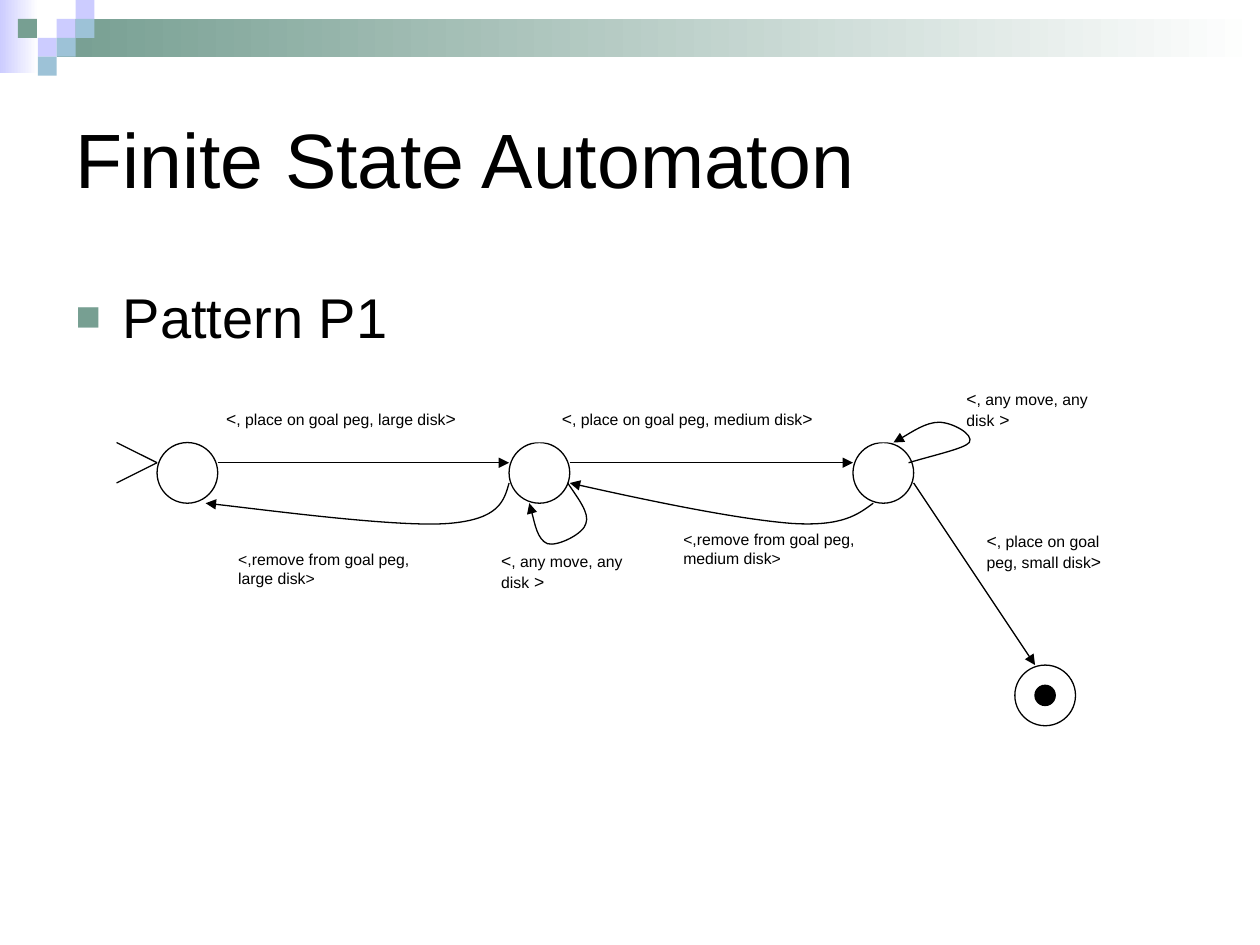
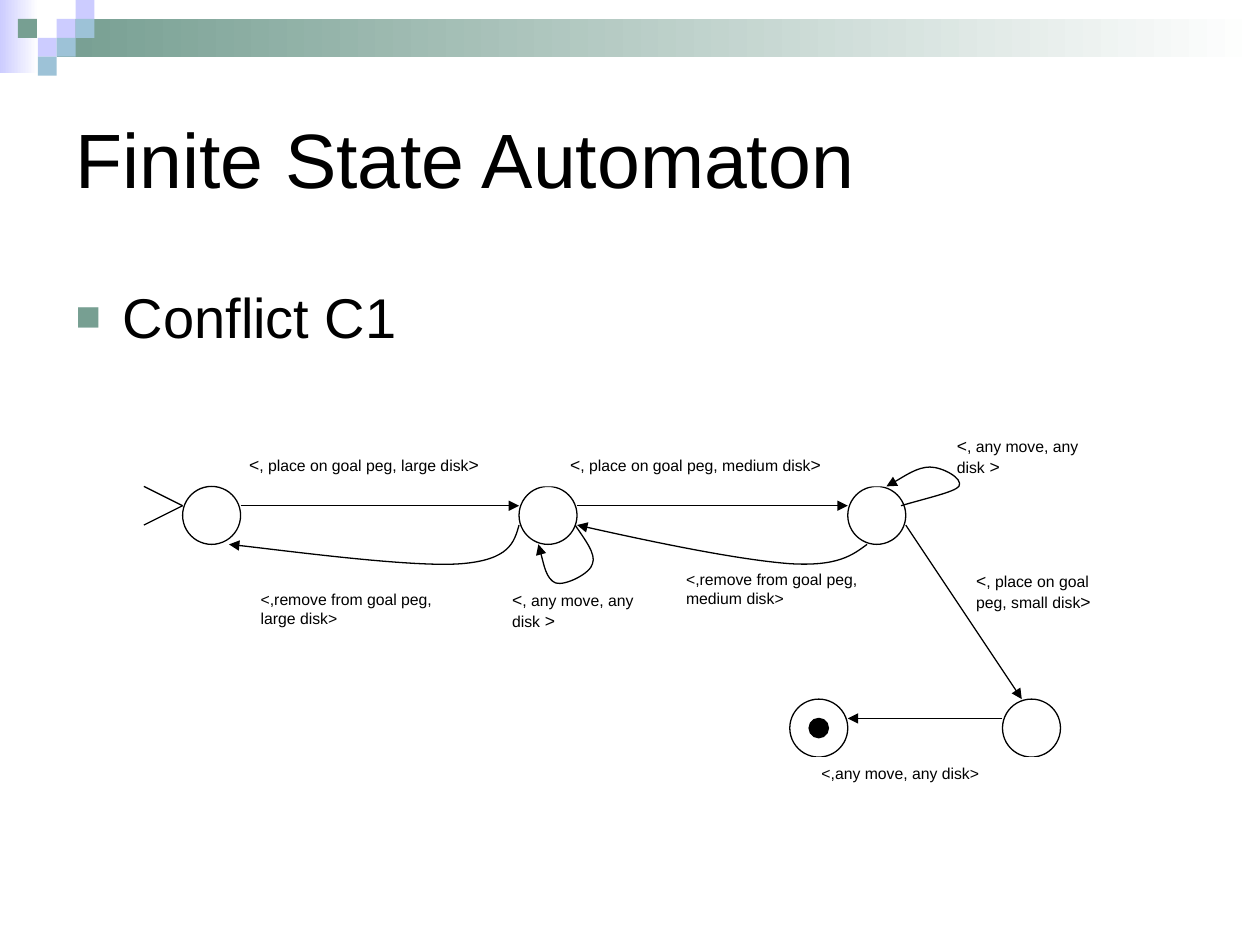
from dataclasses import dataclass

from lxml.etree import SubElement
from pptx import Presentation
from pptx.dml.color import RGBColor
from pptx.enum.shapes import MSO_CONNECTOR, MSO_SHAPE
from pptx.enum.text import MSO_ANCHOR, PP_ALIGN
from pptx.oxml.ns import qn
from pptx.util import Pt

BLACK = RGBColor(0x00, 0x00, 0x00)
WHITE = RGBColor(0xFF, 0xFF, 0xFF)
GREEN = RGBColor(0x77, 0x9F, 0x92)
LAVENDER = RGBColor(0xCC, 0xCC, 0xFF)
BLUE = RGBColor(0x9D, 0xC2, 0xD7)
FONT = "Arial"
LINE_WIDTH = Pt(0.75)

TILE = 10.8
TILES = [  # column, row, colour
    (3, 1, LAVENDER), (4, 0, LAVENDER), (4, 1, BLUE), (2, 2, LAVENDER),
    (0.95, 1, GREEN), (3, 2, BLUE), (2, 3, BLUE),
]

# Diagram positions are in grid units: a state is 3 units wide.
STATE_SIZE = 3
STATE_ROW, FINAL_ROW = 3, 14
START, MIDDLE, THIRD, LAST = 2.6, 20, 37, 45
CONFLICT_FINAL = 34

LABELS = [  # left, top, width, height, runs of (text, size)
    (5.4, 1, 17, 2, [("<", 10), (", place on goal peg, large disk", 9), (">", 10)]),
    (22, 1, 19, 2, [("<", 10), (", place on goal peg, medium disk", 9), (">", 10)]),
    (43, 7, 8, 5, [("<", 10), (", place on goal peg, small disk", 9), (">", 10)]),
    (6, 8, 11, 4, [("<,remove from goal peg, large disk>", 9)]),
    (28, 7, 11, 4, [("<,remove from goal peg, medium disk>", 9)]),
    (19, 8, 8, 4, [("<", 10), (", any move, any disk", 9), (" >", 10)]),
    (42, 0, 8, 4, [("<", 10), (", any move, any disk", 9), (" >", 10)]),
]

# Each curve is a start point followed by groups of three Bezier points.
REMOVE_LARGE = [(20, 5), (19.75, 5.9), (19.5, 6.8), (17, 7),
                (14.45, 7.2), (7, 6.2), (5, 6)]
REMOVE_MEDIUM = [(38, 6), (37.25, 6.55), (36.5, 7.15), (34, 7),
                 (31.45, 6.8), (27.2, 5.95), (23, 5)]
MIDDLE_LOOP = [(22.9, 5), (23.4, 5.75), (24, 6.5), (23.8, 7),
               (23.7, 7.5), (22.4, 8.15), (21.9, 8),
               (21.4, 7.8), (21.1, 6.3), (21, 6)]
THIRD_LOOP = [(39.75, 4), (41.1, 3.6), (42.5, 3.3), (42.75, 3),
              (43, 2.6), (41.9, 2), (41.25, 2),
              (40.6, 2), (39.4, 2.8), (39, 3)]
CURVES = [REMOVE_LARGE, THIRD_LOOP, MIDDLE_LOOP, REMOVE_MEDIUM]


@dataclass
class Grid:
    left: float
    top: float
    unit: float

    def point(self, column, row):
        return Pt(self.left + column * self.unit), Pt(self.top + row * self.unit)

    def box(self, column, row, width, height):
        return (*self.point(column, row), Pt(width * self.unit), Pt(height * self.unit))


def add_run(paragraph, text, size):
    run = paragraph.add_run()
    run.text = text
    run.font.name = FONT
    run.font.size = Pt(size)
    run.font.color.rgb = BLACK


def add_filled_shape(slide, kind, box, colour):
    shape = slide.shapes.add_shape(kind, *box)
    shape.shadow.inherit = False
    shape.fill.solid()
    shape.fill.fore_color.rgb = colour
    shape.line.fill.background()
    return shape


def style_line(shape, arrow):
    shape.line.color.rgb = BLACK
    shape.line.width = LINE_WIDTH
    if arrow:
        SubElement(shape.element.spPr.get_or_add_ln(), qn("a:tailEnd"), type="triangle")


def add_fading_band(slide, box, colour):
    band = add_filled_shape(slide, MSO_SHAPE.RECTANGLE, box, colour)
    band.fill.gradient()
    band.fill.gradient_angle = 0
    for stop, stop_colour in zip(band.fill.gradient_stops, (colour, WHITE)):
        stop.color.rgb = stop_colour
    return band


def move_to_master(presentation, shapes):
    """Put the shapes behind everything else on the slide master."""
    tree = presentation.slide_master.shapes.element
    for index, shape in enumerate(shapes):
        shape.element.nvSpPr.cNvPr.set("id", str(100 + index))
        tree.insert(2 + index, shape.element)


def add_header(presentation, slide):
    tiles = Grid(0, 0, TILE)
    shapes = [
        add_fading_band(slide, (0, 0, Pt(22), Pt(42)), LAVENDER),
        add_fading_band(slide, (Pt(32.4), Pt(TILE), Pt(687.6), Pt(21.6)), GREEN),
    ]
    for column, row, colour in TILES:
        box = tiles.box(column, row, 1, 1)
        shapes.append(add_filled_shape(slide, MSO_SHAPE.RECTANGLE, box, colour))
    move_to_master(presentation, shapes)


def place(shape, left, top, width, height):
    shape.left, shape.top = Pt(left), Pt(top)
    shape.width, shape.height = Pt(width), Pt(height)


def add_bullet(paragraph):
    properties = paragraph._p.get_or_add_pPr()
    properties.set("marL", str(Pt(27)))
    properties.set("indent", str(Pt(-27)))
    colour = SubElement(properties, qn("a:buClr"))
    SubElement(colour, qn("a:srgbClr"), val=str(GREEN))
    SubElement(properties, qn("a:buSzPct"), val="75000")
    SubElement(properties, qn("a:buFont"), typeface=FONT)
    SubElement(properties, qn("a:buChar"), char="■")


def add_titled_slide(presentation, layout, topic):
    slide = presentation.slides.add_slide(layout)
    title, body = slide.placeholders
    title.text_frame.vertical_anchor = MSO_ANCHOR.MIDDLE
    heading = title.text_frame.paragraphs[0]
    heading.alignment = PP_ALIGN.LEFT
    add_run(heading, "Finite State Automaton", 44)
    item = body.text_frame.paragraphs[0]
    add_bullet(item)
    item.space_before = Pt(0)
    add_run(item, topic, 32)
    return slide


def add_state(slide, grid, column, row):
    box = grid.box(column, row, STATE_SIZE, STATE_SIZE)
    style_line(add_filled_shape(slide, MSO_SHAPE.OVAL, box, WHITE), arrow=False)


def add_final_state(slide, grid, column, row):
    add_state(slide, grid, column, row)
    dot_box = grid.box(column + 1, row + 1, 1, 1)
    style_line(add_filled_shape(slide, MSO_SHAPE.OVAL, dot_box, BLACK), arrow=False)


def add_label(slide, grid, left, top, width, height, runs):
    box = grid.box(left, top, width, height)
    label = add_filled_shape(slide, MSO_SHAPE.RECTANGLE, box, WHITE)
    frame = label.text_frame
    frame.word_wrap = True
    frame.vertical_anchor = MSO_ANCHOR.TOP
    paragraph = frame.paragraphs[0]
    paragraph.alignment = PP_ALIGN.LEFT
    for text, size in runs:
        add_run(paragraph, text, size)


def add_line(slide, grid, start, end, arrow=True):
    line = slide.shapes.add_connector(
        MSO_CONNECTOR.STRAIGHT, *grid.point(*start), *grid.point(*end))
    style_line(line, arrow)
    SubElement(line.element.spPr, qn("a:effectLst"))


def add_curved_arrow(slide, grid, points):
    start, *others = [grid.point(*point) for point in points]
    builder = slide.shapes.build_freeform(*start)
    builder.add_line_segments(others, close=False)
    curve = builder.convert_to_shape()
    curve.shadow.inherit = False
    curve.fill.background()
    style_line(curve, arrow=True)
    outline = next(curve.element.iter(qn("a:path")))
    segments = outline.findall(qn("a:lnTo"))
    for index in range(0, len(segments), 3):
        bezier = SubElement(outline, qn("a:cubicBezTo"))
        for segment in segments[index:index + 3]:
            bezier.append(segment[0])
            outline.remove(segment)


def add_automaton(slide, grid):
    """Draw the states and moves that both automata have."""
    for column in (START, MIDDLE, THIRD):
        add_state(slide, grid, column, STATE_ROW)
    for label in LABELS:
        add_label(slide, grid, *label)
    entry = (START, STATE_ROW + 1)
    for row in (STATE_ROW, STATE_ROW + 2):
        add_line(slide, grid, (START - 2, row), entry, arrow=False)
    for source, target in ((START, MIDDLE), (MIDDLE, THIRD)):
        add_line(slide, grid, (source + STATE_SIZE, STATE_ROW + 1),
                 (target, STATE_ROW + 1))
    add_line(slide, grid, (THIRD + STATE_SIZE, STATE_ROW + 2), (LAST + 1, FINAL_ROW))
    for curve in CURVES:
        add_curved_arrow(slide, grid, curve)


def main():
    presentation = Presentation()
    presentation.slide_width, presentation.slide_height = Pt(720), Pt(540)
    layout = presentation.slide_layouts[1]
    place(layout.placeholders[0], 36, 36, 648, 108)
    place(layout.placeholders[1], 36, 158, 648, 306)

    pattern_slide = add_titled_slide(presentation, layout, "Pattern P1")
    add_header(presentation, pattern_slide)
    pattern_grid = Grid(59.7, 218.2, 11.56)
    add_automaton(pattern_slide, pattern_grid)
    add_final_state(pattern_slide, pattern_grid, LAST, FINAL_ROW)

    conflict_slide = add_titled_slide(presentation, layout, "Conflict C1")
    conflict_grid = Grid(75.6, 244.8, 11.05)
    add_automaton(conflict_slide, conflict_grid)
    add_state(conflict_slide, conflict_grid, LAST, FINAL_ROW)
    add_final_state(conflict_slide, conflict_grid, CONFLICT_FINAL, FINAL_ROW)
    add_line(conflict_slide, conflict_grid, (LAST, FINAL_ROW + 1),
             (CONFLICT_FINAL + STATE_SIZE, FINAL_ROW + 1))
    add_label(conflict_slide, conflict_grid, 35, 17, 12, 2,
              [("<,any move, any disk>", 9)])

    presentation.save("out.pptx")


if __name__ == "__main__":
    main()
